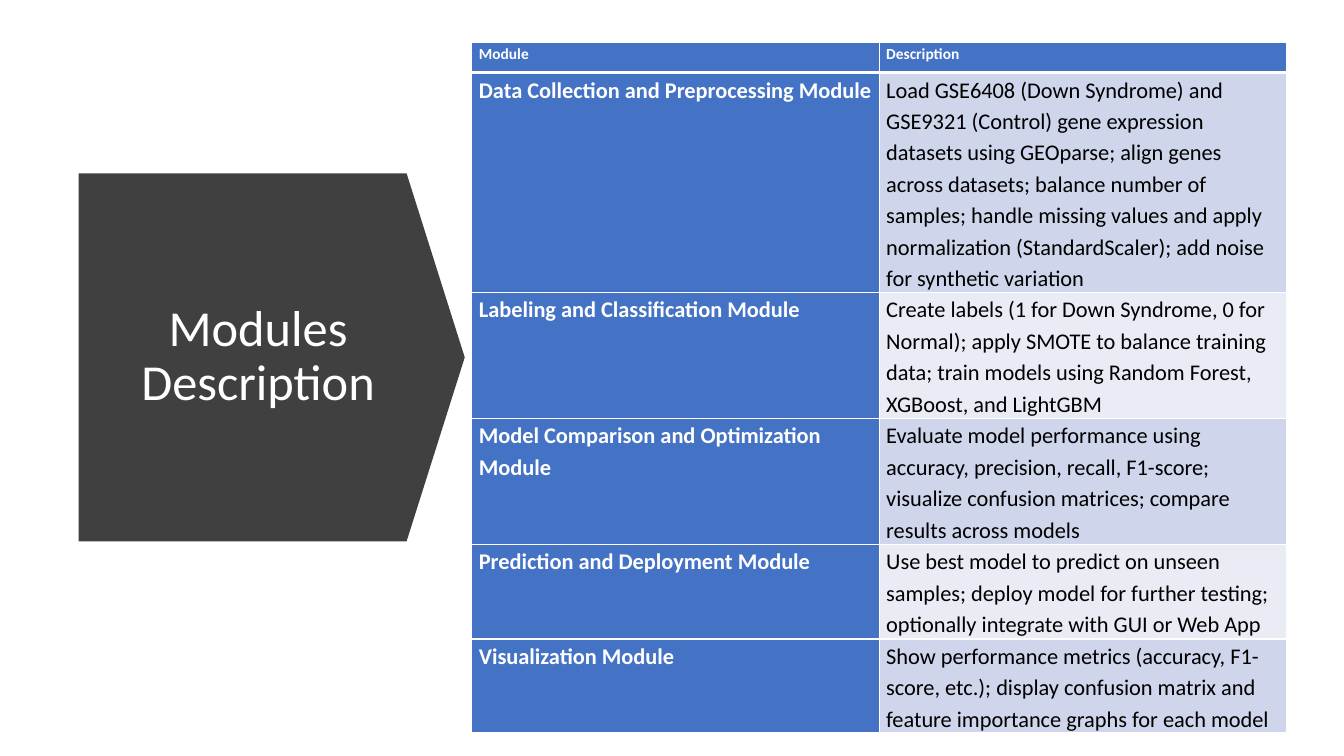
import pptx
import pptx.util
import pptx.dml.color
import pptx.enum.shapes
import pptx.enum.text
import pptx.oxml
import pptx.oxml.ns
import lxml.etree

PX = 9144  # EMU per px, 100 px to the inch
FONT = "Calibri"
WHITE = pptx.dml.color.RGBColor(0xFF, 0xFF, 0xFF)
BLACK = pptx.dml.color.RGBColor(0x00, 0x00, 0x00)
CHARCOAL = pptx.dml.color.RGBColor(0x40, 0x40, 0x40)
BLUE = pptx.dml.color.RGBColor(0x44, 0x72, 0xC4)
BAND_DARK = pptx.dml.color.RGBColor(0xCF, 0xD5, 0xEA)
BAND_LIGHT = pptx.dml.color.RGBColor(0xE9, 0xEB, 0xF5)

HEADER = ("Module", "Description")
MODULES = [
    ("Data Collection and Preprocessing Module",
     "Load GSE6408 (Down Syndrome) and GSE9321 (Control) gene expression datasets "
     "using GEOparse; align genes across datasets; balance number of samples; handle "
     "missing values and apply normalization (StandardScaler); add noise for "
     "synthetic variation"),
    ("Labeling and Classification Module",
     "Create labels (1 for Down Syndrome, 0 for Normal); apply SMOTE to balance "
     "training data; train models using Random Forest, XGBoost, and LightGBM"),
    ("Model Comparison and Optimization Module",
     "Evaluate model performance using accuracy, precision, recall, F1-score; "
     "visualize confusion matrices; compare results across models"),
    ("Prediction and Deployment Module",
     "Use best model to predict on unseen samples; deploy model for further testing; "
     "optionally integrate with GUI or Web App"),
    ("Visualization Module",
     "Show performance metrics (accuracy, F1-score, etc.); display confusion matrix "
     "and feature importance graphs for each model"),
]
ROW_HEIGHTS = (30, 218, 125, 125, 94, 93)


def px(length):
    return pptx.util.Emu(round(length * PX))


def format_paragraph(paragraph, size, color, bold=False, spacing=1.0, after=0):
    paragraph.line_spacing = spacing
    paragraph.space_after = pptx.util.Pt(after)
    for run in paragraph.runs:
        run.font.name = FONT
        run.font.size = pptx.util.Pt(size)
        run.font.bold = bold
        run.font.color.rgb = color


def set_borders(cell, bottom_width):
    """White lines on all four sides; they must precede the cell fill."""
    properties = cell._tc.get_or_add_tcPr()
    widths = {"lnL": 1, "lnR": 1, "lnT": 1, "lnB": bottom_width}
    for index, (side, width) in enumerate(widths.items()):
        line = lxml.etree.Element(pptx.oxml.ns.qn("a:" + side))
        line.set("w", str(pptx.util.Pt(width)))
        fill = lxml.etree.SubElement(line, pptx.oxml.ns.qn("a:solidFill"))
        color = lxml.etree.SubElement(fill, pptx.oxml.ns.qn("a:srgbClr"))
        color.set("val", str(WHITE))
        properties.insert(index, line)


def add_title_arrow(slide, left, top, width, height):
    # Down arrow turned to point right: its own width is the box's height
    arrow = slide.shapes.add_shape(
        pptx.enum.shapes.MSO_SHAPE.DOWN_ARROW,
        px(left + (width - height) / 2), px(top + (height - width) / 2),
        px(height), px(width))
    arrow.rotation = 270
    arrow.adjustments[0] = 1
    arrow.adjustments[1] = 0.158
    arrow.shadow.inherit = False
    arrow.fill.solid()
    arrow.fill.fore_color.rgb = CHARCOAL
    arrow.line.fill.background()

    # Title inside the arrow
    title = slide.shapes.add_textbox(
        px(left + 34), px(top + 43), px(288), px(height - 86))
    frame = title.text_frame
    frame.word_wrap = True
    frame.vertical_anchor = pptx.enum.text.MSO_ANCHOR.MIDDLE
    frame.text = "Modules Description"
    paragraph = frame.paragraphs[0]
    paragraph.alignment = pptx.enum.text.PP_ALIGN.CENTER
    format_paragraph(paragraph, 36, WHITE, spacing=0.9)


def add_module_table(slide, left, top, width):
    rows = [HEADER] + MODULES
    table = slide.shapes.add_table(
        len(rows), len(HEADER), px(left), px(top), px(width),
        px(sum(ROW_HEIGHTS))).table
    for column in table.columns:
        column.width = px(width / len(HEADER))
    for row_index, texts in enumerate(rows):
        table.rows[row_index].height = px(ROW_HEIGHTS[row_index])
        is_header = row_index == 0
        band = BAND_DARK if row_index % 2 else BAND_LIGHT
        for column_index, text in enumerate(texts):
            is_heading = is_header or column_index == 0
            cell = table.cell(row_index, column_index)
            cell.margin_left = cell.margin_right = px(7)
            cell.margin_top = cell.margin_bottom = 0
            cell.fill.solid()
            cell.fill.fore_color.rgb = BLUE if is_heading else band
            set_borders(cell, 3 if is_header else 1)
            cell.text_frame.text = text
            format_paragraph(
                cell.text_frame.paragraphs[0], 11 if is_header else 16,
                WHITE if is_heading else BLACK, is_heading, 1.15, 10)


def main():
    presentation = pptx.Presentation()
    presentation.slide_width = px(1333)
    presentation.slide_height = px(750)
    slide = presentation.slides.add_slide(presentation.slide_layouts[6])
    add_title_arrow(slide, 78, 172, 383, 365)
    add_module_table(slide, 468, 42, 808)
    presentation.save("out.pptx")


if __name__ == "__main__":
    main()
